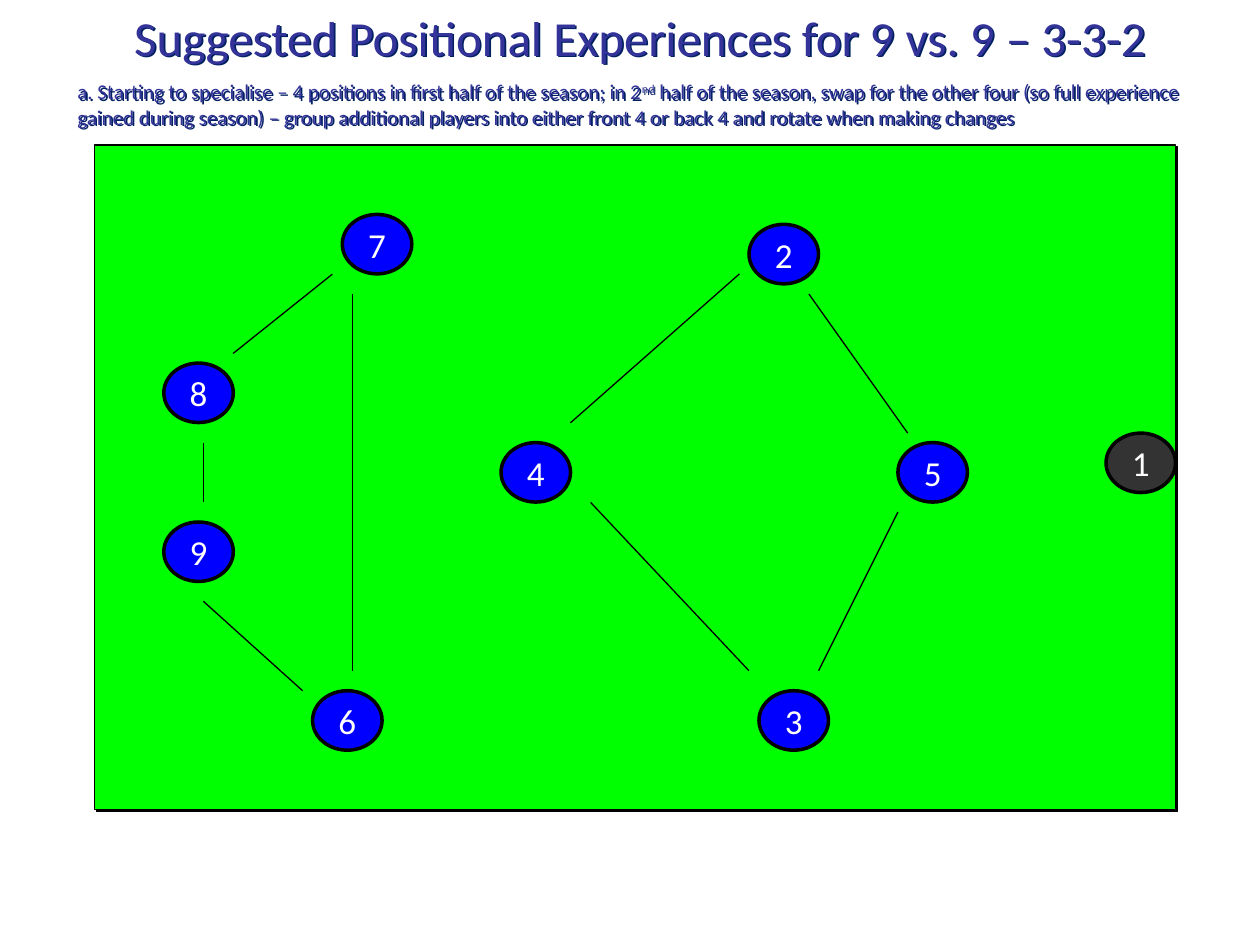
from lxml.etree import SubElement
from pptx import Presentation
from pptx.dml.color import RGBColor
from pptx.enum.shapes import MSO_CONNECTOR as Connector, MSO_SHAPE as Shape
from pptx.enum.text import MSO_ANCHOR as Anchor, MSO_AUTO_SIZE as AutoSize, PP_ALIGN as Align
from pptx.oxml.ns import qn
from pptx.util import Pt

BLACK, WHITE, NAVY, DARK_NAVY = "000000", "FFFFFF", "333399", "002060"
GREEN, BLUE, GREY = "00FF00", "0000FF", "333333"
PLAYER_WIDTH, PLAYER_HEIGHT = 39.7, 34

# Shirt number: left, top
PLAYERS = {
    1: (632, 247.5),
    2: (428, 128.2), 3: (433.7, 394.7), 4: (286.3, 252.9), 5: (513.1, 252.9),
    6: (178.6, 394.7), 7: (195.6, 122.5), 8: (93.6, 207.5), 9: (93.6, 298.3),
}

# Start x, start y, end x, end y
BACK_FOUR_LINKS = [
    (462.2, 168, 518.7, 247.5),
    (513.1, 292.6, 467.8, 383.3),
    (428, 383.3, 337.5, 287.1),
    (326, 241.6, 422.6, 156.5),
]
FRONT_FOUR_LINKS = [
    (201.4, 383.3, 201.4, 168),
    (189.9, 156.7, 133.2, 202),
    (116.2, 252.9, 116.2, 287.1),
    (116.2, 343.6, 172.9, 394.7),
]


def color(value):
    return RGBColor.from_string(value)


def add_shadow(shape, fill):
    """Give the shape, or the text of an unfilled shape, a hard shadow to the lower right."""
    shape.shadow.inherit = False
    effects = shape._element.spPr.find(qn("a:effectLst"))
    shadow = SubElement(effects, qn("a:outerShdw"), dist="17780", dir="2700000", algn="ctr", rotWithShape="0")
    SubElement(shadow, qn("a:srgbClr"), val=fill)


def add_text(paragraph, text, size, fill, baseline=None):
    run = paragraph.add_run()
    run.text = text
    run.font.name = "Calibri"
    run.font.size = Pt(size)
    run.font.color.rgb = color(fill)
    if baseline:
        run.font._element.set("baseline", str(baseline * 1000))


def add_shape(slide, kind, left, top, width, height, fill, line_width):
    shape = slide.shapes.add_shape(kind, Pt(left), Pt(top), Pt(width), Pt(height))
    shape.shadow.inherit = False
    shape.fill.solid()
    shape.fill.fore_color.rgb = color(fill)
    shape.line.color.rgb = color(BLACK)
    shape.line.width = Pt(line_width)
    return shape


def add_heading(slide):
    title = slide.shapes.title
    title.left, title.top, title.width, title.height = Pt(37), Pt(0.4), Pt(657.4), Pt(77)
    title.fill.background()
    title.line.fill.background()
    add_shadow(title, DARK_NAVY)
    frame = title.text_frame
    frame.word_wrap = True
    frame.auto_size = AutoSize.SHAPE_TO_FIT_TEXT
    frame.vertical_anchor = Anchor.TOP

    heading = frame.paragraphs[0]
    heading.alignment = Align.CENTER
    heading.space_before = Pt(17.5)
    add_text(heading, "Suggested Positional Experiences for 9 vs. 9 – 3-3-2", 28, NAVY)

    note = frame.add_paragraph()
    note.alignment = Align.LEFT
    note.space_before = Pt(7.5)
    add_text(note, "a. Starting to specialise – 4 positions in first half of the season; in 2", 12, NAVY)
    add_text(note, "nd", 12, NAVY, baseline=30)
    add_text(note, " half of the season, swap for the other four (so full experience gained during season)"
             " – group additional players into either front 4 or back 4 and rotate when making changes",
             12, NAVY)


def add_pitch(slide):
    pitch = add_shape(slide, Shape.RECTANGLE, 54, 82.8, 617.8, 379.8, GREEN, 0.75)
    add_shadow(pitch, BLACK)


def add_player(slide, number, left, top):
    fill = GREY if number == 1 else BLUE
    player = add_shape(slide, Shape.OVAL, left, top, PLAYER_WIDTH, PLAYER_HEIGHT, fill, 2)
    frame = player.text_frame
    frame.word_wrap = False
    frame.vertical_anchor = Anchor.MIDDLE
    paragraph = frame.paragraphs[0]
    paragraph.alignment = Align.CENTER
    add_text(paragraph, str(number), 20, WHITE)


def add_link(slide, *ends):
    link = slide.shapes.add_connector(Connector.STRAIGHT, *map(Pt, ends))
    link.line.color.rgb = color(BLACK)
    link.line.width = Pt(0.75)
    SubElement(link._element.spPr, qn("a:effectLst"))


def main():
    presentation = Presentation()
    presentation.slide_width, presentation.slide_height = Pt(720), Pt(540)
    slide = presentation.slides.add_slide(presentation.slide_layouts[5])
    add_heading(slide)
    add_pitch(slide)
    for number, position in PLAYERS.items():
        add_player(slide, number, *position)
    for ends in BACK_FOUR_LINKS + FRONT_FOUR_LINKS:
        add_link(slide, *ends)
    presentation.save("out.pptx")


if __name__ == "__main__":
    main()
